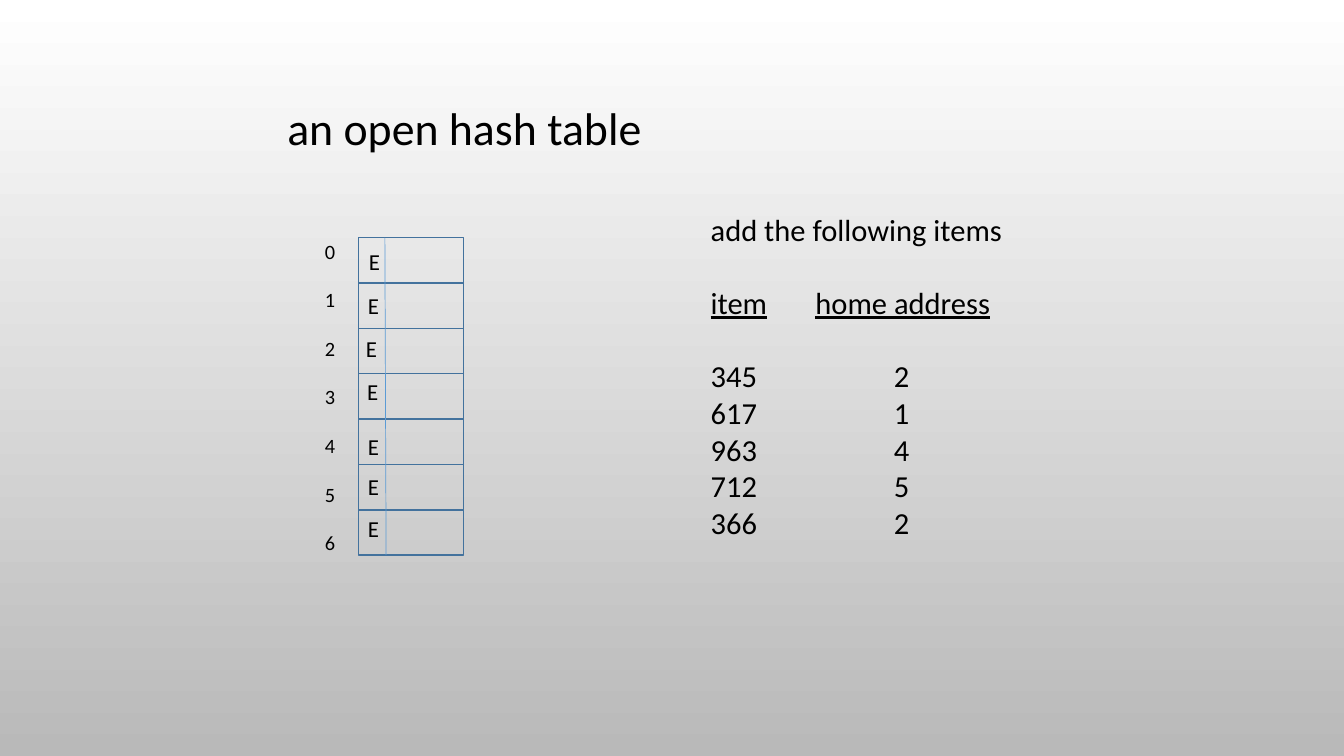
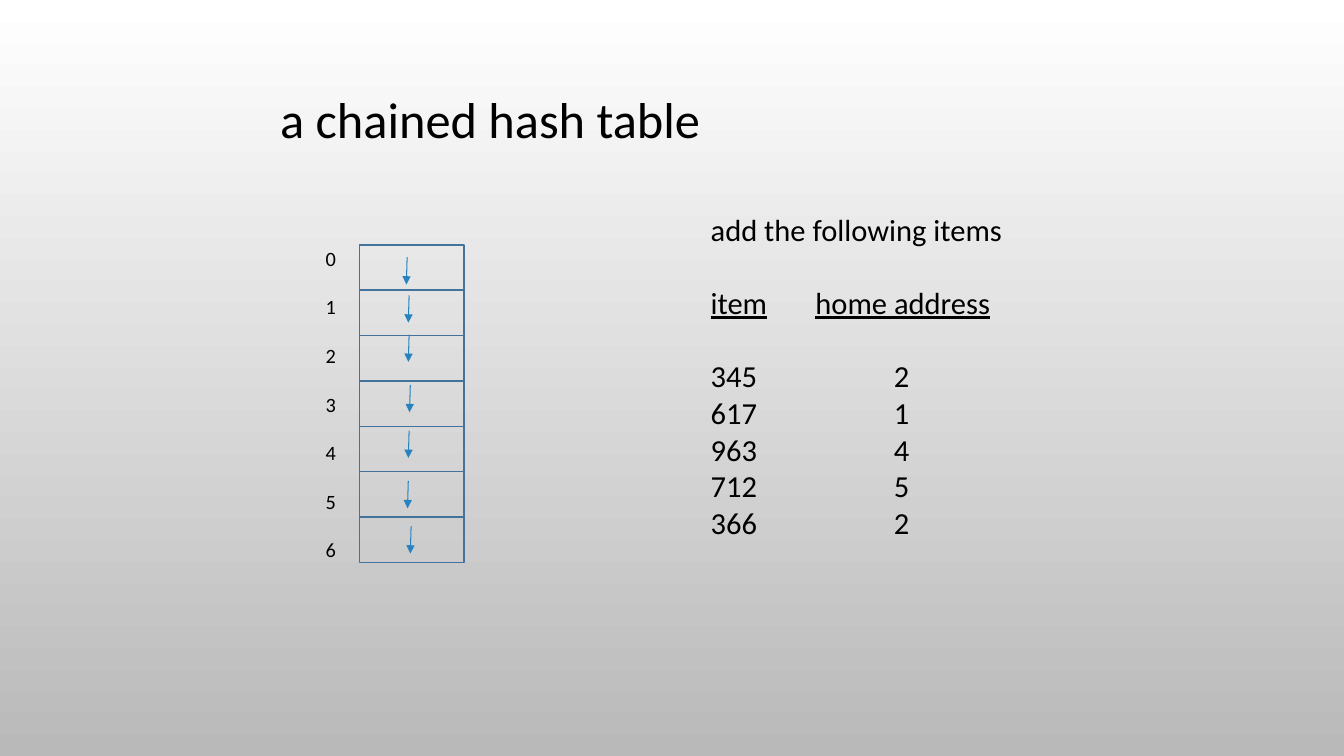
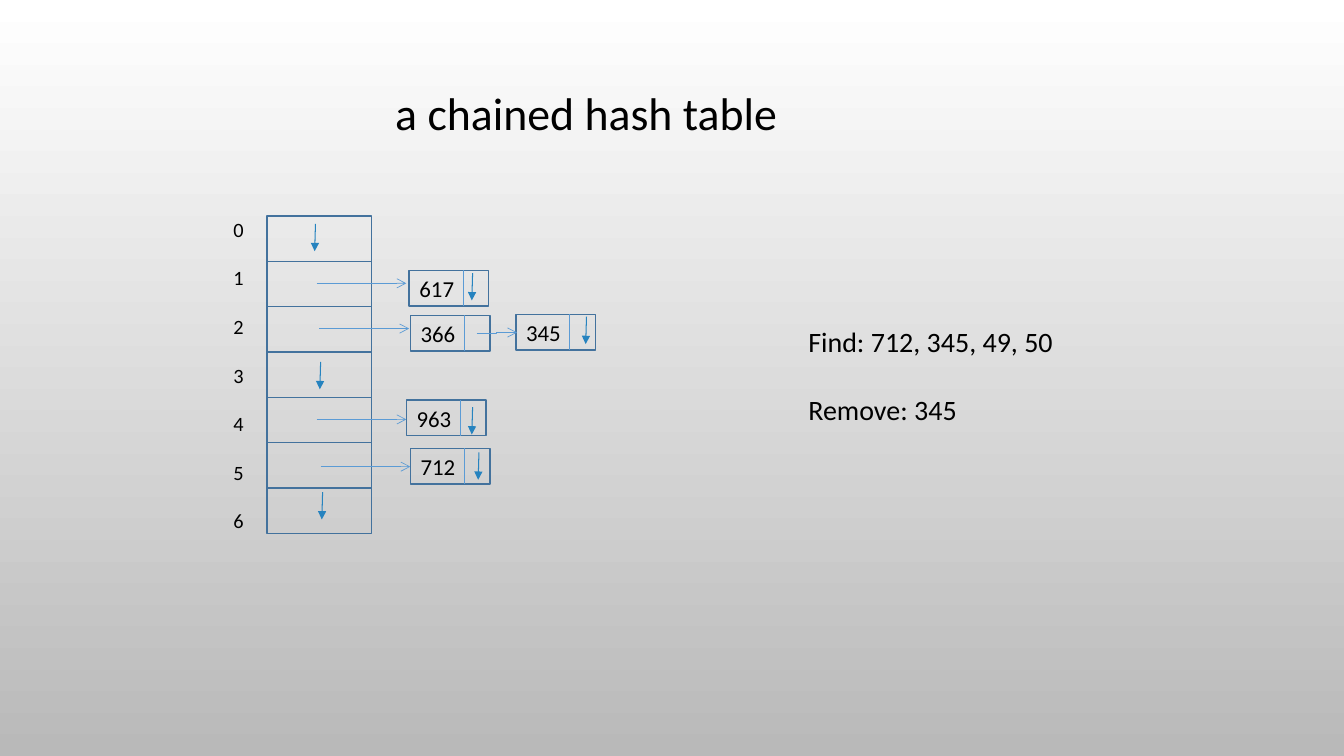
from lxml.etree import SubElement
from pptx import Presentation
from pptx.dml.color import RGBColor
from pptx.enum.shapes import MSO_CONNECTOR as Link, MSO_SHAPE as Shape
from pptx.enum.text import MSO_ANCHOR as Anchor, MSO_AUTO_SIZE as AutoSize, PP_ALIGN as Align
from pptx.oxml.ns import qn
from pptx.util import Cm, Pt

COLORS = {
    "text": "000000",
    "cell": "43729D",
    "link": "5B9BD5",
    "null": "2683BF",
    "top": "FFFFFF",
    "bottom": "B9B9B9",
}
FONT = "Calibri"
ROWS = 7
CELL_WIDTH = 2.64
CELL_HEIGHT = 8 / ROWS
NODE_WIDTH, NODE_HEIGHT, NODE_SPLIT = 2.01, 0.9, 1.36
LINK_LENGTH = 2.26

ITEMS = [
    "add the following items",
    "item\thome address",
    "345\t\t2",
    "617\t\t1",
    "963\t\t4",
    "712\t\t5",
    "366\t\t2",
]
EMPTY_MARKS = [(9.07, 6.12), (9.04, 7.24), (8.99, 8.33), (9.02, 9.42),
               (9.04, 10.8), (9.04, 11.81), (9.04, 12.85)]
EMPTY_CHAINS = [(10.26, 6.48), (10.31, 7.44), (10.31, 8.43), (10.34, 9.7),
                (10.31, 10.85), (10.29, 12.12), (10.36, 13.26)]
CHAIN_ENDS = [(7.95, 5.64), (11.91, 6.88), (14.78, 7.98), (8.08, 9.12),
              (11.91, 10.26), (12.07, 11.4), (8.13, 12.4)]
CHAIN_STARTS = [(7.98, 7.14), (8.05, 8.28), (7.98, 10.57), (8.08, 11.76)]
NODES = [("617", 10.31, 6.81), ("366", 10.34, 7.95), ("963", 10.24, 10.08),
         ("712", 10.34, 11.3), ("345", 13, 7.92)]


def color(name):
    return RGBColor.from_string(COLORS[name])


class HashDeck:
    def __init__(self):
        self.deck = Presentation()
        self.deck.slide_width, self.deck.slide_height = Cm(33.87), Cm(19.05)
        fill = self.deck.slide_master.background.fill
        fill.gradient()
        fill.gradient_angle = 270
        for stop, name, position in zip(fill.gradient_stops, ("top", "bottom"), (0, 1)):
            stop.color.rgb = color(name)
            stop.position = position
        self.page = None

    def add_page(self, title, left, top, width, height, size):
        self.page = self.deck.slides.add_slide(self.deck.slide_layouts[5])
        box = self.page.shapes.title
        box.left, box.top, box.width, box.height = map(Cm, (left, top, width, height))
        self.set_lines(box, [title], size)

    def set_lines(self, box, lines, size):
        frame = box.text_frame
        frame.text = "\n".join(lines)
        frame.word_wrap = True
        frame.auto_size = AutoSize.NONE
        frame.vertical_anchor = Anchor.TOP
        frame.margin_left, frame.margin_right = Cm(0.23), 0
        frame.margin_top = frame.margin_bottom = Cm(0.11)
        for para in frame.paragraphs:
            para.alignment = Align.LEFT
            para.line_spacing = 1.0
            para.space_before = Pt(0)
            for span in para.runs:
                span.font.size = Pt(size)
                span.font.name = FONT
                span.font.color.rgb = color("text")
        return frame.paragraphs

    def text(self, lines, left, top, width, height, size):
        box = self.page.shapes.add_textbox(*map(Cm, (left, top, width, height)))
        return self.set_lines(box, lines, size)

    def frame(self, left, top, width, height):
        box = self.page.shapes.add_shape(Shape.RECTANGLE, *map(Cm, (left, top, width, height)))
        box.shadow.inherit = False
        box.fill.background()
        box.line.color.rgb = color("cell")
        box.line.width = Pt(1)

    def line(self, x1, y1, x2, y2, name="link", width=0.5, head=None, kind=Link.STRAIGHT):
        line = self.page.shapes.add_connector(kind, *map(Cm, (x1, y1, x2, y2)))
        line.line.color.rgb = color(name)
        line.line.width = Pt(width)
        properties = line._element.spPr
        if head:
            SubElement(properties.find(qn("a:ln")), qn("a:tailEnd"), type=head)
        SubElement(properties, qn("a:effectLst"))

    def null_arrows(self, points):
        for x, y in points:
            self.line(x, y, x - 0.02, y + 0.69, "null", 0.75, "triangle")

    def chain_link(self, x1, y1, x2, y2):
        self.line(x1, y1, x2, y2, head="arrow", kind=Link.ELBOW)

    def node(self, label, left, top):
        self.frame(left, top, NODE_WIDTH, NODE_HEIGHT)
        self.text([label], left + 0.03, top, 1.35, 0.94, 16.3)
        self.line(left + NODE_SPLIT, top, left + NODE_SPLIT, top + NODE_HEIGHT)

    def buckets(self, left, top):
        for row in range(ROWS):
            self.frame(left, top + row * CELL_HEIGHT, CELL_WIDTH, CELL_HEIGHT)
        labels = [str(row) for row in range(ROWS)]
        for para in self.text(labels, left - 1.08, top - 0.08, 0.71, 8.43, 14.5)[1:]:
            para.space_before = Pt(17.3)

    def item_list(self):
        paras = self.text(ITEMS, 17.68, 5.21, 7.85, 9.45, 21.8)
        for para in paras[1:3]:
            para.space_before = Pt(26.1)
        for para in paras[1:]:
            tabs = SubElement(para._p.get_or_add_pPr(), qn("a:tabLst"))
            for stop in (2.64, 4.62):
                SubElement(tabs, qn("a:tab"), pos=str(Cm(stop)), algn="l")
        for span in paras[1].runs:
            span.font.underline = True


def main():
    show = HashDeck()

    show.add_page("an open hash table", 7.01, 2.41, 9.45, 1.65, 32.7)
    show.buckets(9.04, 5.99)
    show.item_list()
    show.line(9.7, 5.99, 9.73, 13.99)
    for x, y in EMPTY_MARKS:
        show.text(["E"], x, y, 0.74, 0.94, 16.3)

    show.add_page("a chained hash table", 6.83, 2.11, 11.15, 1.8, 36)
    show.buckets(9.06, 6.17)
    show.item_list()
    show.null_arrows(EMPTY_CHAINS)

    show.add_page("a chained hash table", 9.73, 2.03, 10.16, 1.65, 32.7)
    show.buckets(6.73, 5.44)
    for x, y in CHAIN_STARTS:
        show.chain_link(x, y, x + LINK_LENGTH, y)
    for label, left, top in NODES:
        show.node(label, left, top)
    show.chain_link(12.01, 8.41, 13.03, 8.38)
    tasks = show.text(["Find: 712, 345, 49, 50", "Remove: 345"], 20.14, 8.08, 7.32, 2.84, 20)
    tasks[1].space_before = Pt(24.2)
    show.null_arrows(CHAIN_ENDS)

    show.deck.save("out.pptx")


if __name__ == "__main__":
    main()
